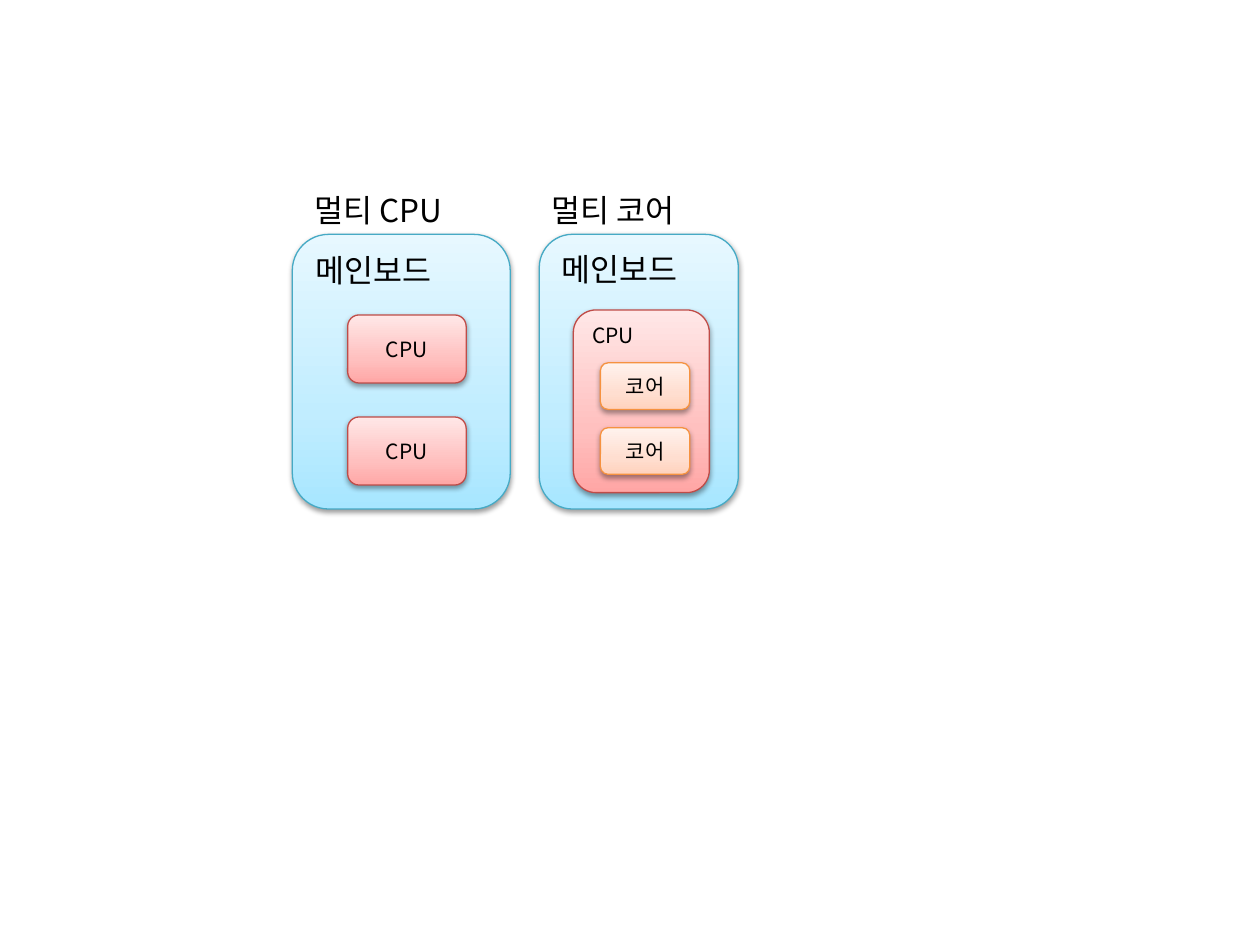
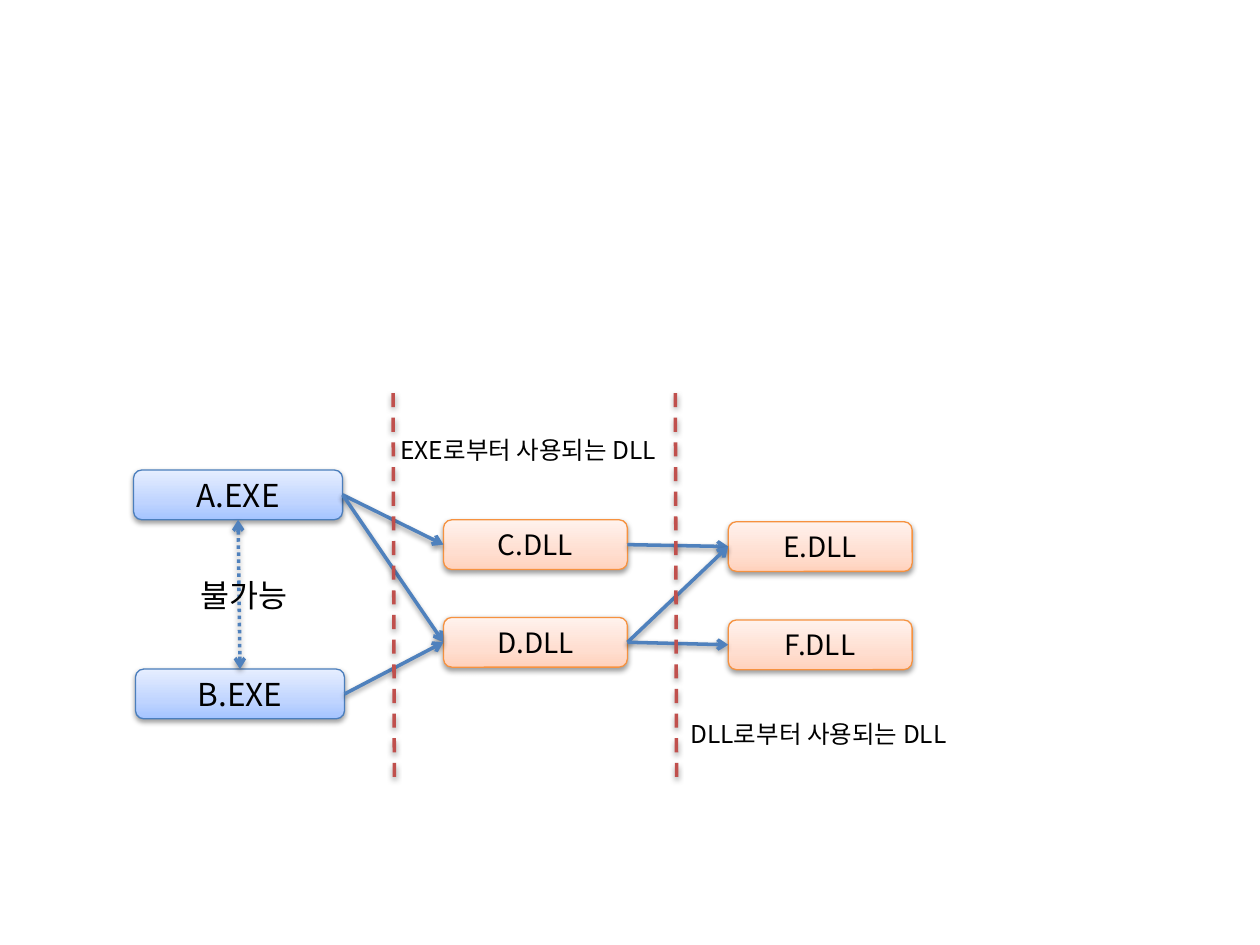
import pptx
import pptx.util
import pptx.oxml
import pptx.oxml.ns
from pptx.dml.color import RGBColor
from pptx.enum.dml import MSO_LINE
from pptx.enum.shapes import MSO_CONNECTOR, MSO_SHAPE
from pptx.enum.text import MSO_ANCHOR, PP_ALIGN

FONT = "Noto Sans CJK KR"
BLACK, ARROW_BLUE, DIVIDER_RED = "000000", "4F81BD", "C0504D"
# Gradient from bottom to top (0, 35 and 100 %), then the outline
CYAN = ("A7E6FF", "C1EDFF", "E7F8FF", "46AAC5")
RED = ("FFA6A5", "FFC0BF", "FFE7E7", "BF4C48")
ORANGE = ("FFD2BD", "FFDED0", "FFF2ED", "F69240")
BLUE = ("A4C4FF", "BFD4FF", "E6EEFF", "4B7EBC")
TOP, LEFT, BOTTOM, RIGHT = range(4)  # connection sites of a box

NAMESPACE = pptx.oxml.ns.nsdecls("a")
SHADOW = (f'<a:effectLst {NAMESPACE}><a:outerShdw blurRad="40000" dist="20000" '
          'dir="5400000" rotWithShape="0"><a:srgbClr val="000000">'
          '<a:alpha val="38000"/></a:srgbClr></a:outerShdw></a:effectLst>')

deck = pptx.Presentation()
deck.slide_width = pptx.util.Inches(10)
deck.slide_height = pptx.util.Inches(7.5)
COLUMN = deck.slide_width / 100
ROW = deck.slide_height / 75


def add_box(page, text, size, place, palette=None, centred=True):
    """Add a shaded rounded box, or a plain label when there is no palette.

    place holds left and width in columns, top and height in rows.
    """
    left, top, width, height = place
    frame = (round(left * COLUMN), round(top * ROW),
             round(width * COLUMN), round(height * ROW))
    if palette:
        box = page.shapes.add_shape(MSO_SHAPE.ROUNDED_RECTANGLE, *frame)
        box.fill.gradient()
        box.fill.gradient_angle = 90
        stops = box.element.spPr.find(".//" + pptx.oxml.ns.qn("a:gsLst"))
        stops.clear()
        for position, colour in zip((0, 35, 100), palette):
            stops.append(pptx.oxml.parse_xml(
                f'<a:gs {NAMESPACE} pos="{position * 1000}">'
                f'<a:srgbClr val="{colour}"/></a:gs>'))
        box.line.color.rgb = RGBColor.from_string(palette[-1])
        box.line.width = pptx.util.Pt(0.75)
        box.element.spPr.append(pptx.oxml.parse_xml(SHADOW))
    else:
        box = page.shapes.add_textbox(*frame)
    box.text_frame.word_wrap = True
    box.text_frame.vertical_anchor = MSO_ANCHOR.MIDDLE if centred else MSO_ANCHOR.TOP
    box.text_frame.text = text
    para = box.text_frame.paragraphs[0]
    para.alignment = PP_ALIGN.CENTER if centred else PP_ALIGN.LEFT
    span = para.runs[0]
    span.font.size = pptx.util.Pt(size)
    span.font.name = FONT
    span.font.color.rgb = RGBColor.from_string(BLACK)
    span.font._element.append(
        pptx.oxml.parse_xml(f'<a:ea {NAMESPACE} typeface="{FONT}"/>'))
    return box


def add_line(page, start, end, colour, dash=None, arrow_ends=()):
    """Add a shaded line; start and end are (column, row) points."""
    line = page.shapes.add_connector(
        MSO_CONNECTOR.STRAIGHT, round(start[0] * COLUMN), round(start[1] * ROW),
        round(end[0] * COLUMN), round(end[1] * ROW))
    line.line.color.rgb = RGBColor.from_string(colour)
    line.line.width = pptx.util.Pt(2)
    if dash:
        line.line.dash_style = dash
    for arrow_end in arrow_ends:
        line.line._get_or_add_ln().append(
            pptx.oxml.parse_xml(f'<a:{arrow_end} {NAMESPACE} type="arrow"/>'))
    line._element.spPr.append(pptx.oxml.parse_xml(SHADOW))
    return line


# Slide 1: two processors on a board, and two cores in a processor
page = deck.slides.add_slide(deck.slide_layouts[6])

for left, width in ((23.2, 17.3), (42.8, 15.8)):
    add_box(page, "메인보드", 18, (left, 18.6, width, 21.8), CYAN, centred=False)
for row in range(2):
    add_box(page, "CPU", 12, (27.6, 25 + 8.1 * row, 9.4, 5.4), RED)
add_box(page, "CPU", 12, (45.5, 24.6, 10.8, 14.5), RED, centred=False)
for row in range(2):
    add_box(page, "코어", 12, (47.65, 28.8 + 5.15 * row, 7.1, 3.7), ORANGE)
for text, left in (("멀티 CPU", 24), ("멀티 코어", 42.8)):
    add_box(page, text, 18, (left, 14.65, 15, 4), centred=False)

# Slide 2: programs and the libraries they use
page = deck.slides.add_slide(deck.slide_layouts[6])

modules = {}
for text, left, top, width, size, palette in (
        ("A.EXE", 10.6, 37.3, 16.6, 18, BLUE),
        ("B.EXE", 10.75, 53.1, 16.6, 18, BLUE),
        ("C.DLL", 35.2, 41.25, 14.6, 16, ORANGE),
        ("D.DLL", 35.2, 49, 14.6, 16, ORANGE),
        ("E.DLL", 57.8, 41.4, 14.6, 16, ORANGE),
        ("F.DLL", 57.8, 49.2, 14.6, 16, ORANGE)):
    modules[text[0]] = add_box(page, text, size, (left, top, width, 3.95), palette)

for user, used in ("AC", "AD", "BD", "CE", "DE", "DF"):
    arrow = add_line(page, (0, 0), (1, 1), ARROW_BLUE, arrow_ends=("tailEnd",))
    arrow.begin_connect(modules[user], RIGHT)
    arrow.end_connect(modules[used], LEFT)

blocked = add_line(page, (0, 0), (1, 1), ARROW_BLUE, MSO_LINE.ROUND_DOT,
                   ("headEnd", "tailEnd"))
blocked.begin_connect(modules["A"], BOTTOM)
blocked.end_connect(modules["B"], TOP)

for text, size, place in (
        ("불가능", 18, (14.9, 45.2, 10.2, 4)),
        ("EXE로부터 사용되는 DLL", 14, (30.8, 34, 29.9, 3.4)),
        ("DLL로부터 사용되는 DLL", 14, (53.8, 56.6, 29.9, 3.4))):
    add_box(page, text, size, place, centred=False)

for column in (31.2, 53.6):
    add_line(page, (column, 31.2), (column + 0.1, 61.9), DIVIDER_RED, MSO_LINE.DASH)

deck.save("out.pptx")
